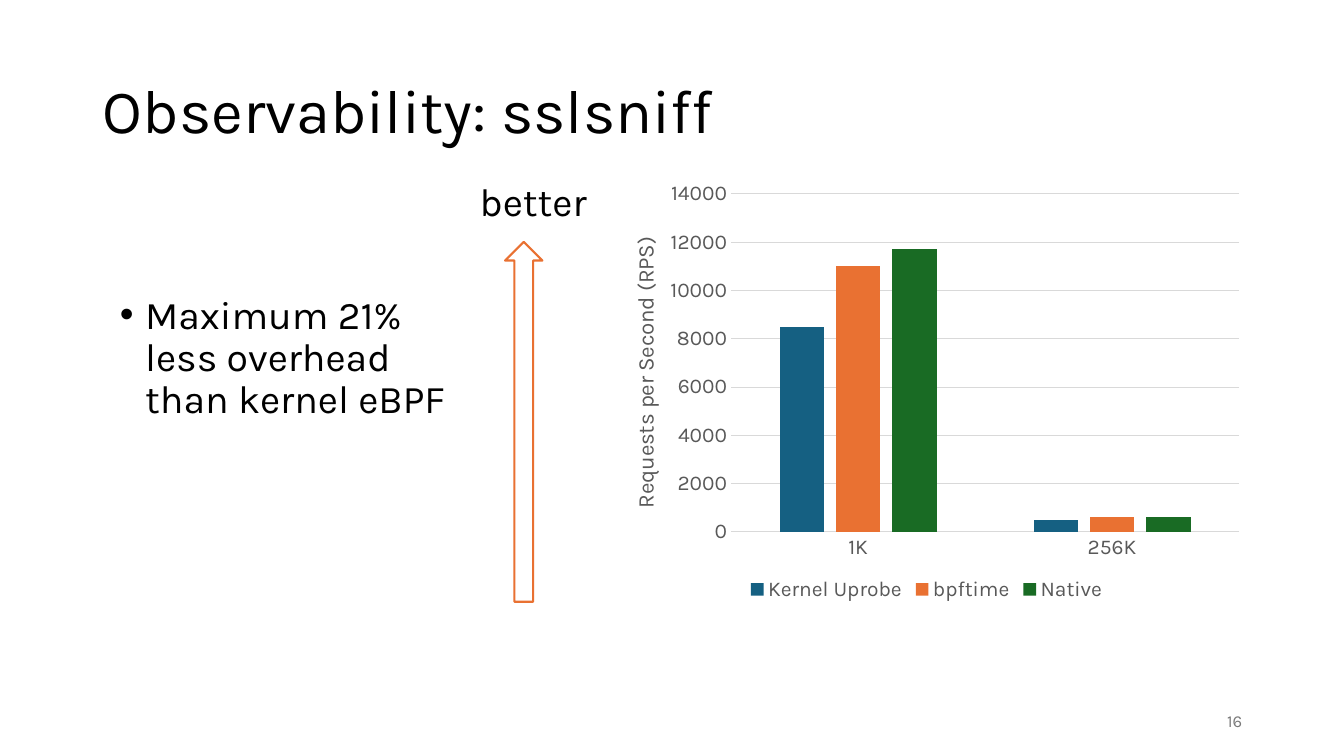
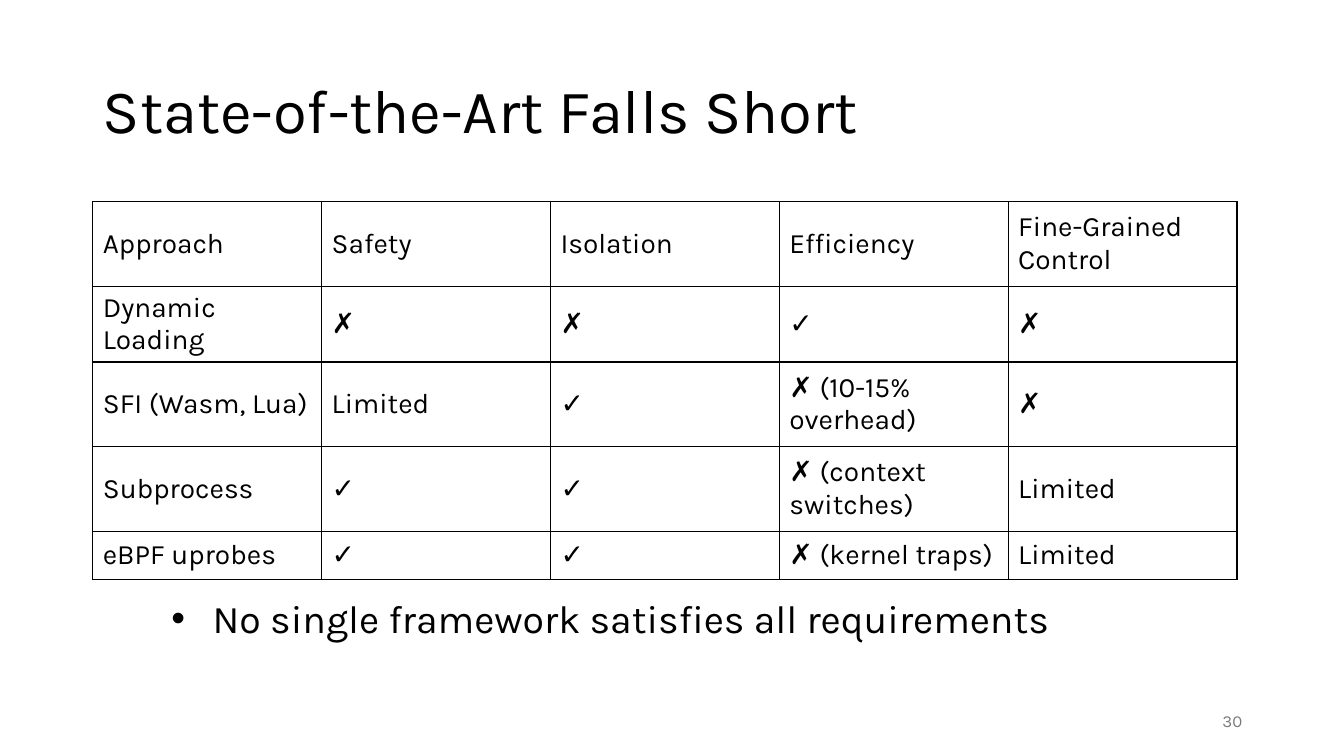
"""Build two slides: a throughput chart and a comparison table."""
from typing import NamedTuple

from lxml import etree
from pptx import Presentation
from pptx.chart.data import CategoryChartData
from pptx.dml.color import RGBColor
from pptx.enum.chart import XL_CHART_TYPE, XL_LEGEND_POSITION, XL_TICK_MARK
from pptx.enum.shapes import MSO_SHAPE
from pptx.enum.text import MSO_ANCHOR, MSO_AUTO_SIZE, PP_ALIGN
from pptx.oxml.ns import qn
from pptx.util import Inches, Pt

COLUMNS = XL_CHART_TYPE.COLUMN_CLUSTERED
BOTTOM = XL_LEGEND_POSITION.BOTTOM
NO_TICK = XL_TICK_MARK.NONE
UP_ARROW = MSO_SHAPE.UP_ARROW
MIDDLE, TOP = MSO_ANCHOR.MIDDLE, MSO_ANCHOR.TOP
LEFT, RIGHT = PP_ALIGN.LEFT, PP_ALIGN.RIGHT
NO_FIT = MSO_AUTO_SIZE.NONE

BLACK = RGBColor(0x00, 0x00, 0x00)
WHITE = RGBColor(0xFF, 0xFF, 0xFF)
BLUE = RGBColor(0x15, 0x60, 0x82)
ORANGE = RGBColor(0xE9, 0x71, 0x32)
GREEN = RGBColor(0x19, 0x6B, 0x24)
AXIS_TEXT = RGBColor(0x59, 0x59, 0x59)
GRID = RGBColor(0xD9, 0xD9, 0xD9)
PAGE_GRAY = RGBColor(0x79, 0x79, 0x79)
FONT = "Karla"


class Box(NamedTuple):
    """Left, top, width and height in inches."""
    left: float
    top: float
    width: float
    height: float

    def emu(self) -> list:
        """Return the four lengths as slide units."""
        return [Inches(v) for v in self]


class Series(NamedTuple):
    """One coloured chart series."""
    name: str
    values: tuple
    color: RGBColor


class Bullet(NamedTuple):
    """A bulleted line with its box, hanging indent and spacing."""
    text: str
    box: Box
    indent: float
    line_spacing: float
    space_before: int


TITLE_BOX = Box(0.92, 0.4, 11.5, 1.45)
PAGE_BOX = Box(9.42, 6.95, 3, 0.4)
CHART_BOX = Box(5.96, 1.71, 6.46, 4.3)
PLOT_AREA = {"x": 0.2, "y": 0.05, "w": 0.78, "h": 0.78}
AXIS_TITLE_PLACE = {"x": 0.04, "y": 0.14}

SIZES = ("1K", "256K")
SERIES = (
    Series("Kernel Uprobe", (8500, 500), BLUE),
    Series("bpftime", (11000, 600), ORANGE),
    Series("Native", (11700, 600), GREEN),
)
OVERHEAD = Bullet("Maximum 21% less overhead than kernel eBPF",
                  Box(1.09, 2.88, 3.57, 2.6), 0.25, 0.9, 10)
CONCLUSION = Bullet("No single framework satisfies all requirements",
                    Box(1.6, 5.85, 10.49, 0.81), 0.41, 1.0, 0)
ROWS = (
    ("Approach", "Safety", "Isolation", "Efficiency", "Fine-Grained Control"),
    ("Dynamic Loading", "✗", "✗", "✓", "✗"),
    ("SFI (Wasm, Lua)", "Limited", "✓", "✗ (10-15% overhead)", "✗"),
    ("Subprocess", "✓", "✓", "✗ (context switches)", "Limited"),
    ("eBPF uprobes", "✓", "✓", "✗ (kernel traps)", "Limited"),
)
ROW_HEIGHTS = (0.84, 0.75, 0.84, 0.84, 0.48)
COL_WIDTH = 2.27


def apply(obj, values: dict) -> None:
    """Set attributes from a dict of format values."""
    for key, value in values.items():
        setattr(obj, key, value)


def style_font(font, size: float, color: RGBColor = BLACK) -> None:
    """Set the shared typeface with a size and colour."""
    apply(font, {"name": FONT, "size": Pt(size), "bold": False})
    font.color.rgb = color


def place(sp, box: Box) -> None:
    """Move and size a shape."""
    apply(sp, dict(zip(("left", "top", "width", "height"), box.emu())))


def write(tf, text: str, size: float, color: RGBColor = BLACK,
          anchor=TOP, **para):
    """Fill a text frame with one formatted paragraph."""
    apply(tf, {"word_wrap": True, "auto_size": NO_FIT,
               "vertical_anchor": anchor})
    p = tf.paragraphs[0]
    apply(p, {"alignment": LEFT, **para})
    r = p.add_run()
    r.text = text
    style_font(r.font, size, color)
    return p


def add_text(s, box: Box, text: str, size: float, **fmt) -> None:
    """Add a text box."""
    write(s.shapes.add_textbox(*box.emu()).text_frame, text, size, **fmt)


def add_page(prs, title: str, number: int, bullet: Bullet):
    """Add a slide with its title, bullet and page number."""
    s = prs.slides.add_slide(prs.slide_layouts[1])
    place(s.shapes.title, TITLE_BOX)
    write(s.shapes.title.text_frame, title, 44, anchor=MIDDLE,
          line_spacing=0.9)
    body = s.placeholders[1]
    place(body, bullet.box)
    p = write(body.text_frame, bullet.text, 28,
              line_spacing=bullet.line_spacing,
              space_before=Pt(bullet.space_before))
    pPr = p._p.get_or_add_pPr()
    indent = Inches(bullet.indent)
    pPr.set("marL", str(indent))
    pPr.set("indent", str(-indent))
    etree.SubElement(pPr, qn("a:buFont")).set("typeface", "Arial")
    etree.SubElement(pPr, qn("a:buChar")).set("char", "•")
    add_text(s, PAGE_BOX, str(number), 12, color=PAGE_GRAY, anchor=MIDDLE,
             alignment=RIGHT)
    return s


def set_layout(parent, index: int, place_values: dict, inner: bool) -> None:
    """Give a chart part a manual layout in fractions of the chart."""
    for old in parent.findall(qn("c:layout")):
        parent.remove(old)
    layout = etree.Element(qn("c:layout"))
    manual = etree.SubElement(layout, qn("c:manualLayout"))
    values = {"layoutTarget": "inner"} if inner else {}
    values.update({"xMode": "edge", "yMode": "edge"}, **place_values)
    for tag, value in values.items():
        etree.SubElement(manual, qn(f"c:{tag}")).set("val", str(value))
    parent.insert(index, layout)


def style_line(line, color: RGBColor, width: float) -> None:
    """Set a line's colour and width."""
    line.color.rgb = color
    line.width = Pt(width)


def add_throughput_chart(s) -> None:
    """Add the requests-per-second column chart."""
    data = CategoryChartData()
    data.categories = SIZES
    for series in SERIES:
        data.add_series(series.name, series.values)
    chart = s.shapes.add_chart(COLUMNS, *CHART_BOX.emu(), data).chart
    apply(chart, {"has_title": False, "has_legend": True})
    style_font(chart.font, 10)
    apply(chart.legend, {"position": BOTTOM, "include_in_layout": False})
    style_font(chart.legend.font, 15, AXIS_TEXT)

    plot = chart.plots[0]
    apply(plot, {"gap_width": 219, "overlap": -27, "vary_by_categories": False})
    for drawn, series in zip(plot.series, SERIES):
        drawn.format.fill.solid()
        drawn.format.fill.fore_color.rgb = series.color

    cat, val = chart.category_axis, chart.value_axis
    for axis in (cat, val):
        apply(axis, {"major_tick_mark": NO_TICK, "minor_tick_mark": NO_TICK})
        style_font(axis.tick_labels.font, 15, AXIS_TEXT)
    style_line(cat.format.line, GRID, 0.75)
    apply(val, {"minimum_scale": 0, "maximum_scale": 14000, "major_unit": 2000,
                "has_major_gridlines": True})
    val.format.line.fill.background()
    style_line(val.major_gridlines.format.line, GRID, 0.75)

    r = val.axis_title.text_frame.paragraphs[0].add_run()
    r.text = "Requests per Second (RPS)"
    style_font(r.font, 16, AXIS_TEXT)
    set_layout(val.axis_title._element, 1, AXIS_TITLE_PLACE, False)
    set_layout(chart._chartSpace.chart.plotArea, 0, PLOT_AREA, True)


def add_borders(cell) -> None:
    """Draw a black one-point line on each side of a cell."""
    tcPr = cell._tc.get_or_add_tcPr()
    for side in ("lnL", "lnR", "lnT", "lnB"):
        ln = etree.SubElement(tcPr, qn(f"a:{side}"), w=str(Pt(1)))
        fill = etree.SubElement(ln, qn("a:solidFill"))
        etree.SubElement(fill, qn("a:srgbClr"), val=str(BLACK))


def add_comparison_table(s) -> None:
    """Add the table of approaches."""
    count = len(ROWS[0])
    box = Box(0.92, 2, COL_WIDTH * count, sum(ROW_HEIGHTS))
    table = s.shapes.add_table(len(ROWS), count, *box.emu()).table
    apply(table, {"first_row": False, "horz_banding": False})
    for col in table.columns:
        col.width = Inches(COL_WIDTH)
    for row, height, texts in zip(table.rows, ROW_HEIGHTS, ROWS):
        row.height = Inches(height)
        for cell, text in zip(row.cells, texts):
            r = cell.text_frame.paragraphs[0].add_run()
            r.text = text
            style_font(r.font, 20)
            cell.vertical_anchor = MIDDLE
            add_borders(cell)
            cell.fill.background()


def add_better_arrow(s) -> None:
    """Add the upward arrow with its label."""
    arrow = s.shapes.add_shape(UP_ARROW, *Box(5.01, 2.4, 0.37, 3.57).emu())
    arrow.shadow.inherit = False
    arrow.fill.solid()
    arrow.fill.fore_color.rgb = WHITE
    style_line(arrow.line, ORANGE, 1.5)
    add_text(s, Box(4.66, 1.71, 3, 0.57), "better", 28)


def main() -> None:
    """Build and save the presentation."""
    prs = Presentation()
    apply(prs, {"slide_width": Inches(13.33), "slide_height": Inches(7.5)})
    s = add_page(prs, "Observability: sslsniff", 16, OVERHEAD)
    add_better_arrow(s)
    add_throughput_chart(s)
    s = add_page(prs, "State-of-the-Art Falls Short", 30, CONCLUSION)
    add_comparison_table(s)
    prs.save("out.pptx")


if __name__ == "__main__":
    main()
